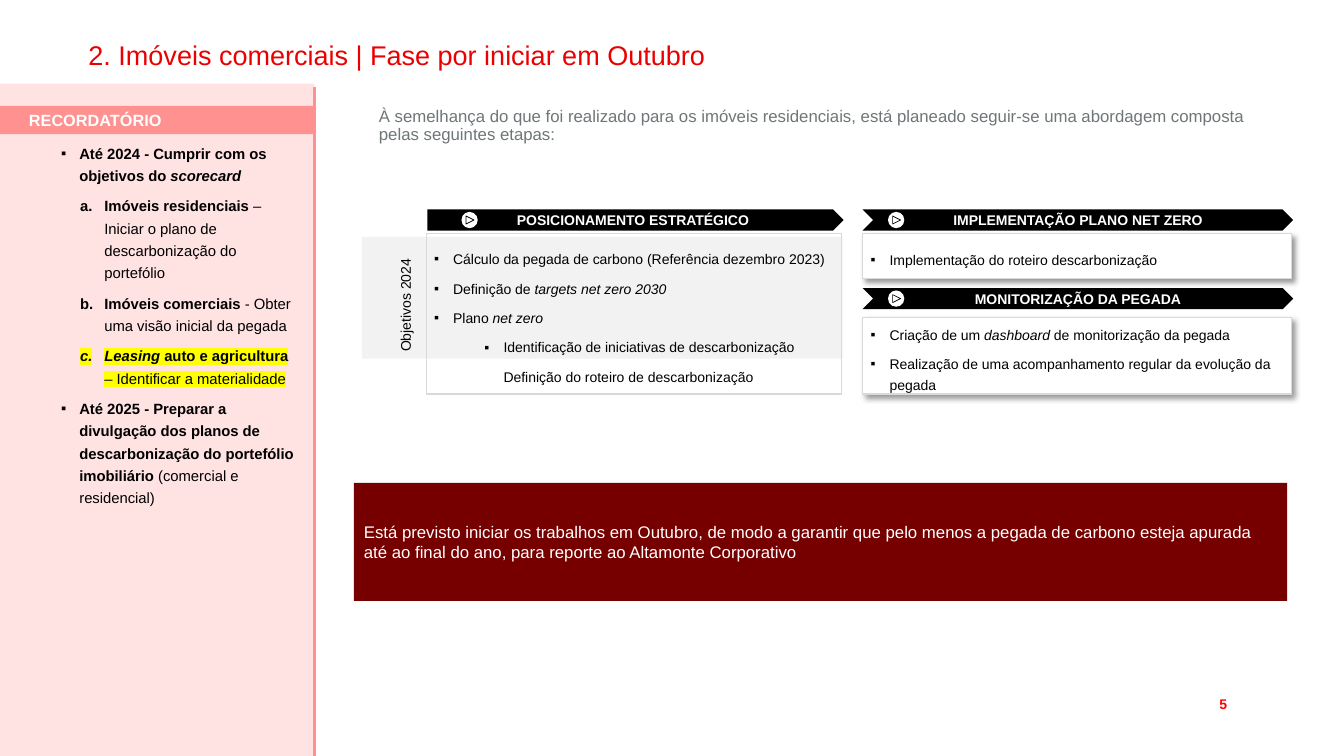
from lxml.etree import SubElement
from pptx import Presentation
from pptx.dml.color import RGBColor
from pptx.enum.shapes import MSO_CONNECTOR, MSO_SHAPE as Preset
from pptx.enum.text import MSO_ANCHOR as Anchor, PP_ALIGN as Align
from pptx.oxml.ns import qn
from pptx.util import Cm, Pt

# Content: a paragraph is (style, runs); a run is (text, marks)
# Marks: b = bold, i = italic, h = highlighted
TITLE = "2. Imóveis comerciais | Fase por iniciar em Outubro"
INTRO = ("À semelhança do que foi realizado para os imóveis residenciais, está planeado "
         "seguir-se uma abordagem composta pelas seguintes etapas:")
CALLOUT = ("Está previsto iniciar os trabalhos em Outubro, de modo a garantir que pelo menos "
           "a pegada de carbono esteja apurada até ao final do ano, para reporte ao "
           "Altamonte Corporativo")
REMINDER_TITLE = "RECORDATÓRIO"
REMINDER = [
    ("goal", [("Até 2024 - Cumprir com os objetivos do ", "b"), ("scorecard", "bi")]),
    ("letter", [("Imóveis residenciais ", "b"),
                ("– Iniciar o plano de descarbonização do portefólio", "")]),
    ("letter", [("Imóveis comerciais ", "b"), ("- Obter uma visão inicial da pegada", "")]),
    ("letter", [("Leasing", "bih"), (" auto e agricultura ", "bh"),
                ("– Identificar a materialidade", "h")]),
    ("goal", [("Até 2025 - Preparar a divulgação dos planos de descarbonização do "
               "portefólio imobiliário ", "b"), ("(comercial e residencial)", "")]),
]
OBJECTIVES_LABEL = "Objetivos 2024"
PAGE_NUMBER = "5"

# Stages: heading, preset, heading box, icon offset, panel box, raised, paragraphs (cm)
STAGES = [
    ("POSICIONAMENTO ESTRATÉGICO", Preset.PENTAGON, (10.77, 5.28, 10.49, 0.53), 0.86,
     (10.74, 5.89, 10.46, 4.04), False, [
         ("step", [("Cálculo da pegada de carbono (Referência dezembro 2023)", "")]),
         ("step", [("Definição de ", ""), ("targets net zero 2030", "i")]),
         ("step", [("Plano ", ""), ("net zero", "i")]),
         ("substep", [("Identificação de iniciativas de descarbonização", "")]),
         ("plain_substep", [("Definição do roteiro de descarbonização", "")])]),
    ("IMPLEMENTAÇÃO PLANO NET ZERO", Preset.CHEVRON, (21.74, 5.28, 10.85, 0.53), 0.64,
     (21.74, 5.89, 10.82, 1.12), True, [
         ("step", [("Implementação do roteiro descarbonização", "")])]),
    ("MONITORIZAÇÃO DA PEGADA", Preset.CHEVRON, (21.74, 7.26, 10.85, 0.53), 0.64,
     (21.74, 8.0, 10.82, 1.93), True, [
         ("step", [("Criação de um ", ""), ("dashboard ", "i"),
                   ("de monitorização da pegada", "")]),
         ("step", [("Realização de uma acompanhamento regular da evolução da pegada", "")])]),
]

THEME = {
    "font": "Arial",
    "title": "EB0000", "page": "FF0000", "muted": "6E7678", "black": "000000",
    "white": "FFFFFF", "grey": "F2F2F2", "border": "D9D9D9", "pink": "FFC8C8",
    "rose": "FF9191", "wine": "760000", "marker": "FFFF00",
    "title_size": 19.3, "text_size": 12, "band_size": 11.6, "reminder_size": 10.6,
    "small_size": 10,
}

# Paragraph styles: level, left margin and first-line indent (cm), bullet, spacing
STYLES = {
    "plain": dict(level=0, margin=0, indent=0, bullet=None, format={}),
    "title": dict(level=0, margin=0, indent=0, bullet=None, format={"line_spacing": 0.9}),
    "centre": dict(level=0, margin=0, indent=0, bullet=None,
                   format={"alignment": Align.CENTER}),
    "band": dict(level=0, margin=0.48, indent=0, bullet=None, format={}),
}
for name, level, margin, indent, bullet, before in [
        ("goal", 0, 0.94, -0.46, "▪", 5.8), ("letter", 1, 1.57, -0.61, "auto", 5.8),
        ("step", 0, 0.48, -0.48, "▪", 6), ("substep", 1, 1.75, -0.48, "▪", 6),
        ("plain_substep", 1, 1.75, 0, None, 6)]:
    STYLES[name] = dict(level=level, margin=margin, indent=indent, bullet=bullet,
                        format={"line_spacing": 1.25, "space_before": Pt(before)})


def color(name):
    return RGBColor.from_string(THEME[name])


def write(shape, paragraphs, size, ink, anchor=Anchor.TOP, insets=(0.25, 0.13, 0.25, 0.13)):
    frame = shape.text_frame
    sides = ("margin_left", "margin_top", "margin_right", "margin_bottom")
    settings = {"word_wrap": True, "vertical_anchor": anchor,
                **{side: Cm(inset) for side, inset in zip(sides, insets)}}
    for key, value in settings.items():
        setattr(frame, key, value)
    for index, (style_name, runs) in enumerate(paragraphs):
        paragraph = frame.add_paragraph() if index else frame.paragraphs[0]
        style = STYLES[style_name]
        for key, value in {"alignment": Align.LEFT, "level": style["level"],
                           **style["format"]}.items():
            if index or key != "space_before":
                setattr(paragraph, key, value)
        properties = paragraph._p.get_or_add_pPr()
        properties.set("marL", str(Cm(style["margin"])))
        properties.set("indent", str(Cm(style["indent"])))
        if style["bullet"] == "auto":
            SubElement(properties, qn("a:buAutoNum"), type="alphaLcPeriod")
        elif style["bullet"]:
            SubElement(properties, qn("a:buFont"), typeface=THEME["font"])
            SubElement(properties, qn("a:buChar"), char=style["bullet"])
        else:
            SubElement(properties, qn("a:buNone"))
        for text, marks in runs:
            run = paragraph.add_run()
            run.text = text
            for key, value in {"name": THEME["font"], "size": Pt(THEME[size]),
                               "bold": "b" in marks, "italic": "i" in marks}.items():
                setattr(run.font, key, value)
            run.font.color.rgb = color(ink)
            if "h" in marks:
                run_properties = run._r.get_or_add_rPr()
                highlight = SubElement(run_properties, qn("a:highlight"))
                SubElement(highlight, qn("a:srgbClr"), val=THEME["marker"])
                run_properties.find(qn("a:solidFill")).addnext(highlight)


def add_box(slide, preset, box, fill=None, line=None, width=0.75):
    shape = slide.shapes.add_shape(preset, *map(Cm, box))
    shape.shadow.inherit = False
    if fill:
        shape.fill.solid()
        shape.fill.fore_color.rgb = color(fill)
    else:
        shape.fill.background()
    if line:
        shape.line.color.rgb = color(line)
        shape.line.width = Pt(width)
    else:
        shape.line.fill.background()
    return shape


def add_text(slide, box, *text, **options):
    shape = slide.shapes.add_textbox(*map(Cm, box))
    write(shape, *text, **options)
    return shape


def raise_panel(shape):
    effects = shape._element.spPr.find(qn("a:effectLst"))
    shadow = SubElement(effects, qn("a:outerShdw"), blurRad=str(Pt(4)), dist=str(Pt(3)),
                        dir=str(45 * 60000), algn="tl", rotWithShape="0")
    shade = SubElement(shadow, qn("a:srgbClr"), val=THEME["black"])
    SubElement(shade, qn("a:alpha"), val="40000")


def add_play_icon(slide, left, middle, diameter=0.41, side=0.2):
    add_box(slide, Preset.OVAL, (left, middle - diameter / 2, diameter, diameter), "white")
    triangle = add_box(slide, Preset.ISOSCELES_TRIANGLE,
                       (left + (diameter - side) / 2 + 0.01, middle - side / 2, side, side),
                       "white", "black", 0.5)
    triangle.rotation = 90


def add_stage(slide, heading, preset, heading_box, icon_offset, panel_box, raised, paragraphs):
    left, top, _, height = heading_box
    header = add_box(slide, preset, heading_box, "black")
    write(header, [("centre", [(heading, "b")])], "small_size", "white",
          Anchor.MIDDLE, (0, 0, 0, 0))
    add_play_icon(slide, left + icon_offset, top + height / 2)
    panel = add_box(slide, Preset.RECTANGLE, panel_box, "white" if raised else None, "border")
    if raised:
        raise_panel(panel)
    write(panel, paragraphs, "small_size", "black", Anchor.MIDDLE, (0.2, 0.2, 0.2, 0.1))


def add_sidebar(slide, width=7.92, bottom=19.05):
    background = add_box(slide, Preset.RECTANGLE, (0, 2.11, width, bottom - 2.11), "pink")
    tint = background._element.spPr.find(qn("a:solidFill"))[0]
    SubElement(tint, qn("a:alpha"), val="50000")
    band = add_box(slide, Preset.RECTANGLE, (0, 2.67, width, 0.71), "rose")
    write(band, [("band", [(REMINDER_TITLE, "b")])], "band_size", "white", Anchor.MIDDLE)
    add_text(slide, (0.81, 3.4, 6.88, 13.36), REMINDER, "reminder_size", "black")
    edge = slide.shapes.add_connector(MSO_CONNECTOR.STRAIGHT,
                                      *map(Cm, (width, 2.18, width, bottom)))
    edge.line.color.rgb = color("rose")
    edge.line.width = Pt(2.25)
    SubElement(edge._element.spPr, qn("a:effectLst"))


def main():
    presentation = Presentation()
    presentation.slide_width, presentation.slide_height = Cm(33.87), Cm(19.05)
    slide = presentation.slides.add_slide(presentation.slide_layouts[6])

    # Title, introduction and page number
    add_text(slide, (30.12, 17.4, 1.42, 0.69), [("centre", [(PAGE_NUMBER, "b")])],
             "small_size", "page")
    add_text(slide, (1.98, 0.94, 29.9, 0.84), [("title", [(TITLE, "")])],
             "title_size", "title")
    add_text(slide, (9.3, 2.59, 23.11, 8.18), [("title", [(INTRO, "")])],
             "text_size", "muted")

    # Stages and their objectives strip
    add_box(slide, Preset.RECTANGLE, (9.12, 5.97, 12.12, 3.07), "grey")
    for stage in STAGES:
        add_stage(slide, *stage)
    label = add_text(slide, (9.75, 6.1, 0.94, 2.9), [("plain", [(OBJECTIVES_LABEL, "")])],
                     "small_size", "black")
    label.text_frame._txBody.bodyPr.set("vert", "vert270")

    # Reminder sidebar
    add_sidebar(slide)

    # Closing message
    callout = add_box(slide, Preset.RECTANGLE, (8.92, 12.17, 23.52, 2.97), "wine")
    write(callout, [("plain", [(CALLOUT, "")])], "text_size", "white", Anchor.MIDDLE)

    presentation.save("out.pptx")


if __name__ == "__main__":
    main()
